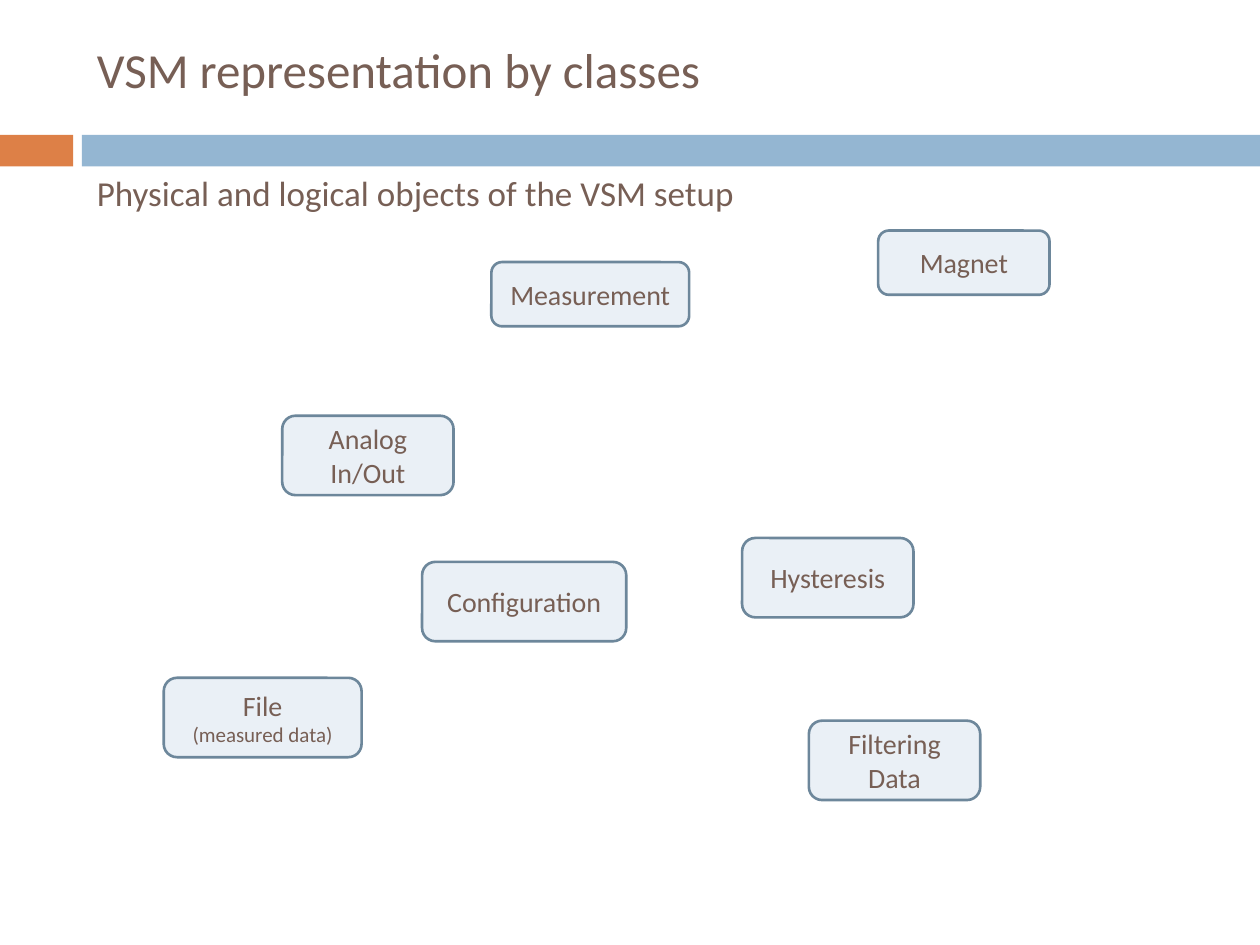
"""Build the slide of VSM setup objects represented by classes."""
from dataclasses import dataclass

from pptx import Presentation
from pptx.dml.color import RGBColor
from pptx.enum.shapes import MSO_SHAPE
from pptx.enum.text import MSO_ANCHOR, PP_ALIGN
from pptx.shapes.autoshape import Shape
from pptx.slide import Slide
from pptx.text.text import TextFrame
from pptx.util import Inches, Pt

FONT = "Calibri"
BROWN, ORANGE, BLUE = "775F55", "DD8047", "94B6D2"
BOX_FILL, BOX_LINE = "EAF0F6", "6D879B"


@dataclass(frozen=True)
class Line:
    text: str
    size: int = 16


@dataclass(frozen=True)
class ClassBox:
    left: float
    top: float
    lines: tuple[Line, ...]
    width: float = 1.36
    height: float = 0.63


@dataclass(frozen=True)
class Heading:
    line: Line
    top: float
    width: float
    height: float
    anchor: MSO_ANCHOR


@dataclass(frozen=True)
class Band:
    left: float
    width: float
    fill: str


BANDS = (Band(0, 0.58, ORANGE), Band(0.65, 9.35, BLUE))
HEADINGS = (
    Heading(Line("VSM representation by classes", 28), 0.25, 8.92, 0.59, MSO_ANCHOR.MIDDLE),
    Heading(Line("Physical and logical objects of the VSM setup", 20), 1.31, 7.8, 0.47, MSO_ANCHOR.TOP),
)
CLASS_BOXES = (
    ClassBox(3.9, 2.08, (Line("Measurement"),), width=1.57, height=0.51),
    ClassBox(2.24, 3.3, (Line("Analog"), Line("In/Out"))),
    ClassBox(6.42, 5.72, (Line("Filtering Data"),)),
    ClassBox(1.3, 5.38, (Line("File"), Line("(measured data)", 12)), width=1.57),
    ClassBox(5.89, 4.27, (Line("Hysteresis"),)),
    ClassBox(6.97, 1.83, (Line("Magnet"),), height=0.51),
    ClassBox(3.35, 4.46, (Line("Configuration"),), width=1.62),
)


def color(value: str) -> RGBColor:
    """Turn a hex string into a colour."""
    return RGBColor.from_string(value)


def write(frame: TextFrame, lines: tuple[Line, ...], align: PP_ALIGN, anchor: MSO_ANCHOR) -> None:
    """Write one paragraph for each line."""
    frame.word_wrap = True
    frame.vertical_anchor = anchor
    for index, line in enumerate(lines):
        paragraph = frame.add_paragraph() if index else frame.paragraphs[0]
        paragraph.alignment = align
        run = paragraph.add_run()
        run.text = line.text
        run.font.name = FONT
        run.font.size = Pt(line.size)
        run.font.color.rgb = color(BROWN)


def add_filled(slide: Slide, preset: MSO_SHAPE, left: float, top: float,
               width: float, height: float, fill: str) -> Shape:
    """Add a flat shape with a solid fill."""
    shape = slide.shapes.add_shape(preset, Inches(left), Inches(top), Inches(width), Inches(height))
    shape.shadow.inherit = False
    shape.fill.solid()
    shape.fill.fore_color.rgb = color(fill)
    return shape


def add_band(slide: Slide, band: Band) -> None:
    """Add one part of the bar under the title."""
    bar = add_filled(slide, MSO_SHAPE.RECTANGLE, band.left, 1.07, band.width, 0.25, band.fill)
    bar.line.fill.background()


def add_heading(slide: Slide, heading: Heading) -> None:
    """Add a left-aligned heading."""
    box = slide.shapes.add_textbox(Inches(0.67), Inches(heading.top),
                                   Inches(heading.width), Inches(heading.height))
    write(box.text_frame, (heading.line,), PP_ALIGN.LEFT, heading.anchor)


def add_class_box(slide: Slide, item: ClassBox) -> None:
    """Add a rounded box for one class."""
    box = add_filled(slide, MSO_SHAPE.ROUNDED_RECTANGLE, item.left, item.top,
                     item.width, item.height, BOX_FILL)
    box.line.color.rgb = color(BOX_LINE)
    box.line.width = Pt(1.5)
    write(box.text_frame, item.lines, PP_ALIGN.CENTER, MSO_ANCHOR.MIDDLE)


def main() -> None:
    """Build and save the slide."""
    presentation = Presentation()
    presentation.slide_width = Inches(10)
    presentation.slide_height = Inches(7.5)
    slide = presentation.slides.add_slide(presentation.slide_layouts[6])
    for band in BANDS:
        add_band(slide, band)
    for heading in HEADINGS:
        add_heading(slide, heading)
    for item in CLASS_BOXES:
        add_class_box(slide, item)
    presentation.save("out.pptx")


main()
